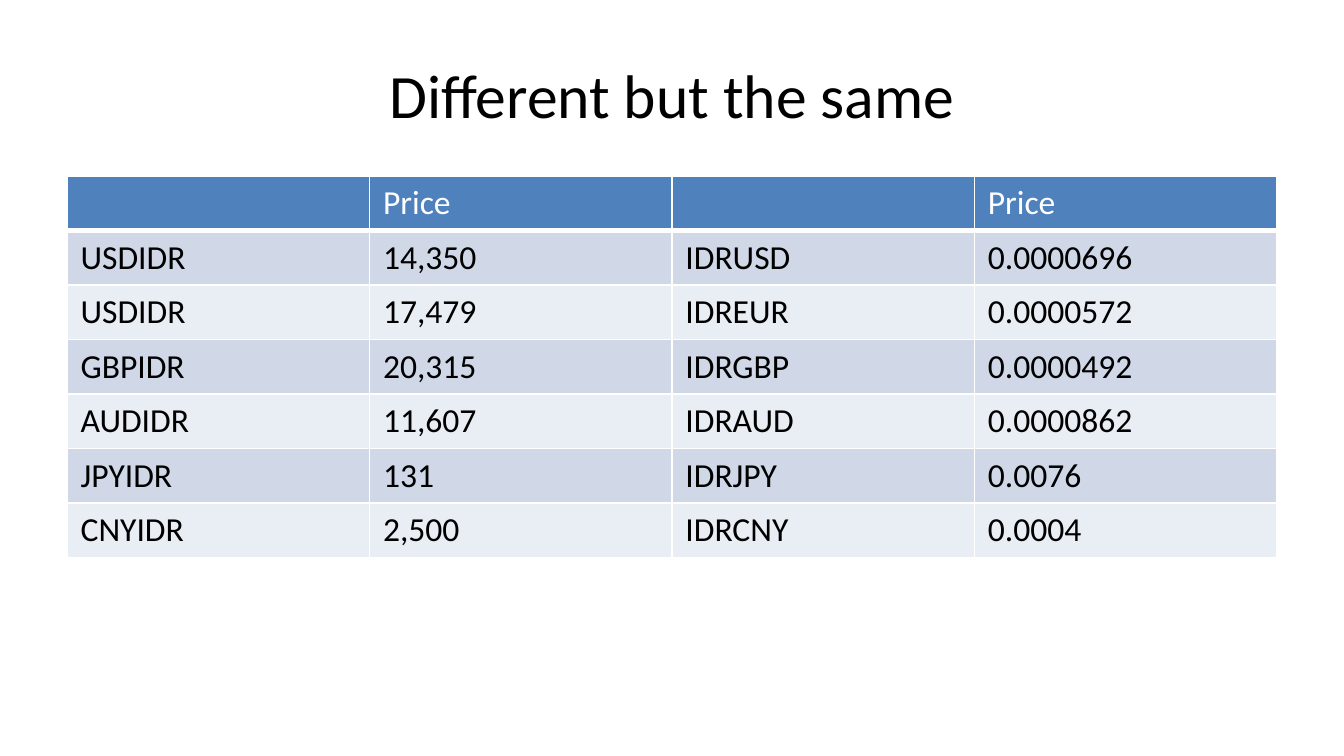
import dataclasses

import lxml.etree
import pptx
import pptx.dml.color
import pptx.enum.text
import pptx.oxml.ns
import pptx.util

Cm = pptx.util.Cm
Pt = pptx.util.Pt


@dataclasses.dataclass(frozen=True)
class Theme:
    font: str = "Calibri"
    title_size: float = 33
    body_size: float = 18
    text: str = "000000"
    header_text: str = "FFFFFF"
    header_fill: str = "4F81BD"
    bands: tuple = ("D0D8E8", "E9EDF4")
    border: str = "FFFFFF"
    border_width: float = 1
    header_rule: float = 3


class SlideBuilder:
    def __init__(self, slide, theme):
        self.slide = slide
        self.theme = theme

    def format_font(self, paragraph, size, color):
        font = paragraph.font
        font.name = self.theme.font
        font.size = Pt(size)
        font.bold = False
        font.color.rgb = pptx.dml.color.RGBColor.from_string(color)

    def title(self, wording, left, top, width, height):
        heading = self.slide.shapes.title
        heading.left, heading.top = left, top
        heading.width, heading.height = width, height
        frame = heading.text_frame
        frame.text = wording
        frame.word_wrap = True
        frame.vertical_anchor = pptx.enum.text.MSO_ANCHOR.MIDDLE
        paragraph = frame.paragraphs[0]
        paragraph.alignment = pptx.enum.text.PP_ALIGN.CENTER
        self.format_font(paragraph, self.theme.title_size, self.theme.text)

    def borders(self, cell, bottom_width):
        properties = cell._tc.get_or_add_tcPr()
        qn = pptx.oxml.ns.qn
        widths = dict.fromkeys(("lnL", "lnR", "lnT"), self.theme.border_width)
        widths["lnB"] = bottom_width
        for position, (side, width) in enumerate(widths.items()):
            line = lxml.etree.Element(qn(f"a:{side}"), w=str(Pt(width)))
            fill = lxml.etree.SubElement(line, qn("a:solidFill"))
            lxml.etree.SubElement(fill, qn("a:srgbClr"), val=self.theme.border)
            properties.insert(position, line)

    def table(self, rows, left, top, width, row_height):
        grid = self.slide.shapes.add_table(
            len(rows), len(rows[0]), left, top, width, row_height * len(rows)
        ).table
        grid.horz_banding = False
        for row_index, values in enumerate(rows):
            is_header = row_index == 0
            if is_header:
                fill, color = self.theme.header_fill, self.theme.header_text
                bottom_width = self.theme.header_rule
            else:
                fill = self.theme.bands[(row_index - 1) % 2]
                color = self.theme.text
                bottom_width = self.theme.border_width
            for column_index, value in enumerate(values):
                cell = grid.cell(row_index, column_index)
                cell.text = value
                cell.fill.solid()
                cell.fill.fore_color.rgb = pptx.dml.color.RGBColor.from_string(fill)
                self.format_font(
                    cell.text_frame.paragraphs[0], self.theme.body_size, color
                )
                self.borders(cell, bottom_width)


def main():
    presentation = pptx.Presentation()
    presentation.slide_width = Cm(25.4)
    presentation.slide_height = Cm(14.29)
    slide = presentation.slides.add_slide(presentation.slide_layouts[5])
    builder = SlideBuilder(slide, Theme())

    margin = Cm(1.27)
    content_width = presentation.slide_width - 2 * margin
    builder.title("Different but the same", margin, Cm(0.58), content_width, Cm(2.39))

    exchange_rates = [
        ("", "Price", "", "Price"),
        ("USDIDR", "14,350", "IDRUSD", "0.0000696"),
        ("USDIDR", "17,479", "IDREUR", "0.0000572"),
        ("GBPIDR", "20,315", "IDRGBP", "0.0000492"),
        ("AUDIDR", "11,607", "IDRAUD", "0.0000862"),
        ("JPYIDR", "131", "IDRJPY", "0.0076"),
        ("CNYIDR", "2,500", "IDRCNY", "0.0004"),
    ]
    builder.table(exchange_rates, margin, Cm(3.33), content_width, Cm(1.03))
    presentation.save("out.pptx")


if __name__ == "__main__":
    main()
